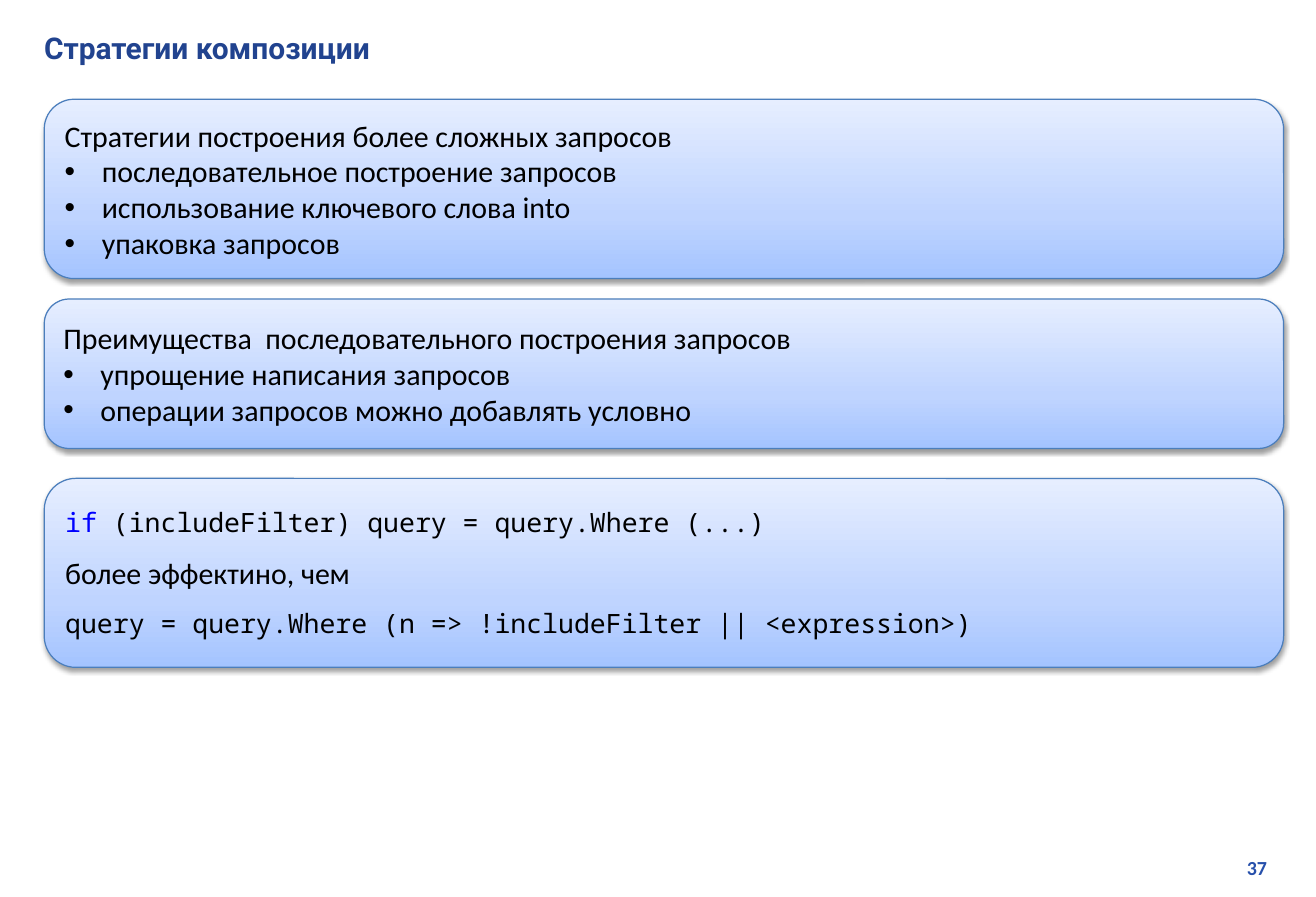
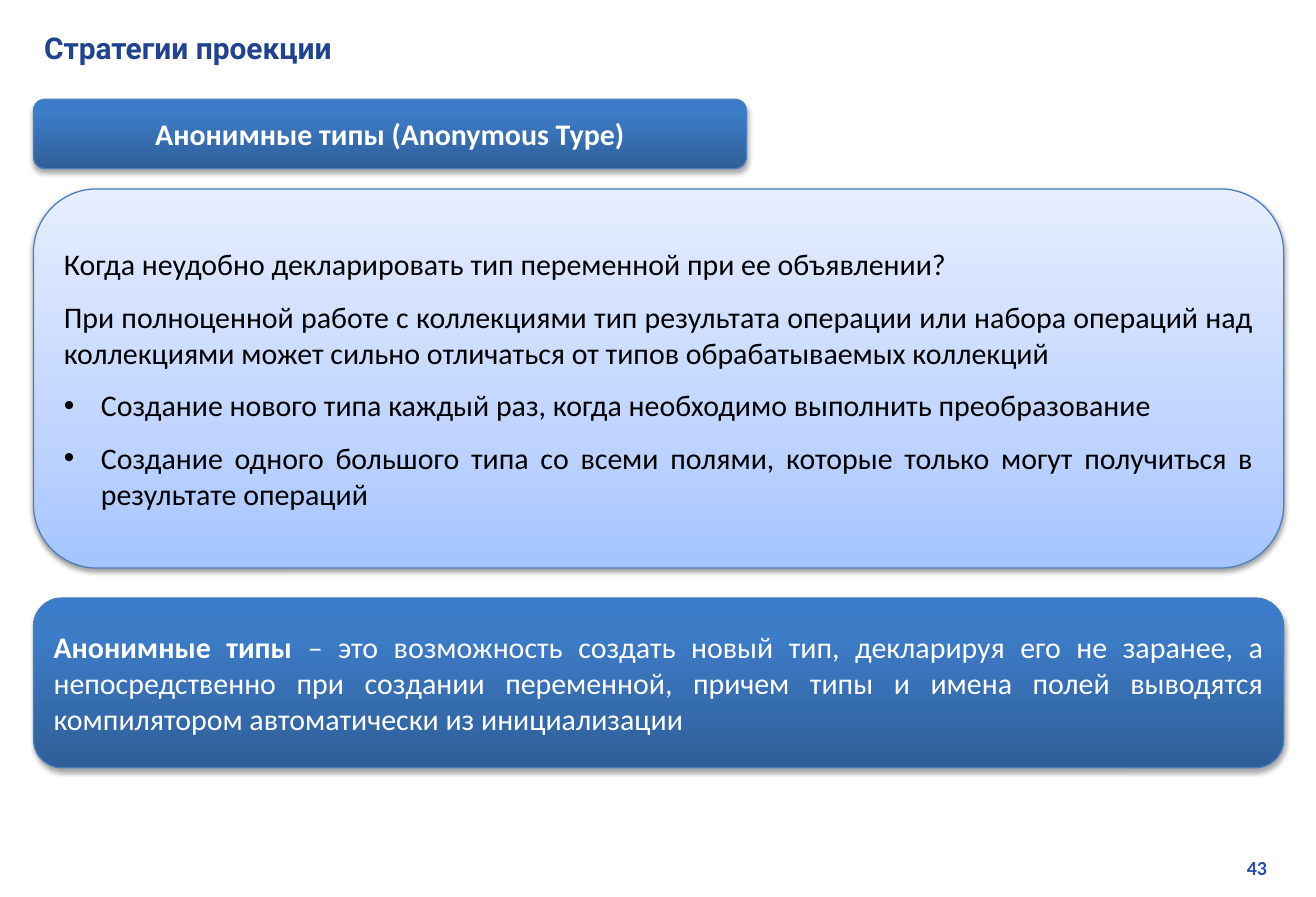
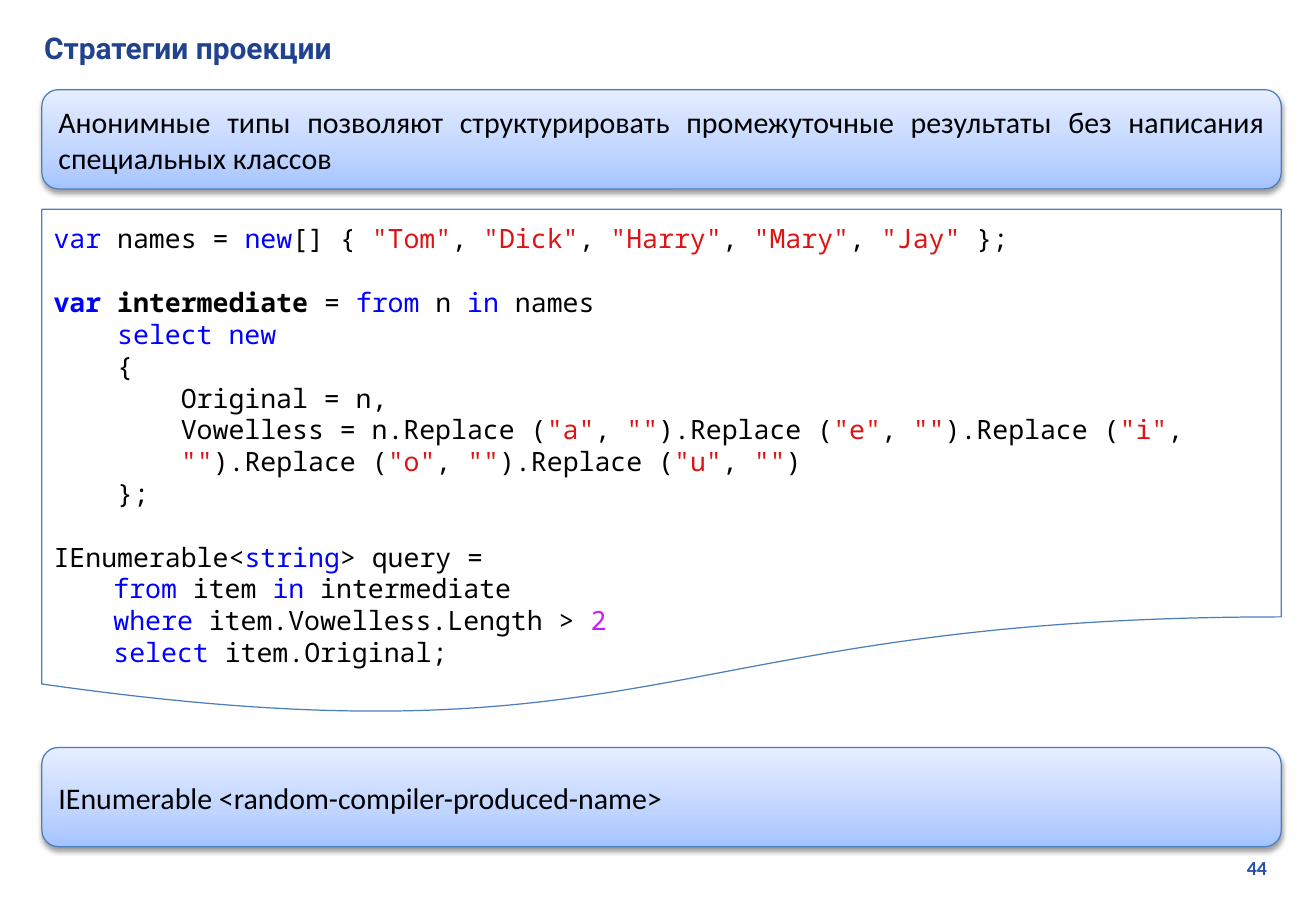
from itertools import groupby

from lxml.etree import SubElement
from pptx import Presentation
from pptx.dml.color import RGBColor
from pptx.enum.shapes import MSO_SHAPE as SHAPE
from pptx.enum.text import MSO_ANCHOR as ANCHOR, PP_ALIGN as ALIGN
from pptx.oxml.ns import qn
from pptx.util import Inches, Pt

BLACK = RGBColor(0x00, 0x00, 0x00)
WHITE = RGBColor(0xFF, 0xFF, 0xFF)
TITLE_BLUE = RGBColor(0x21, 0x43, 0x8F)
NUMBER_BLUE = RGBColor(0x27, 0x50, 0xAB)
OUTLINE = RGBColor(0x4B, 0x7E, 0xBC)
KEYWORD = RGBColor(0x00, 0x00, 0xFF)
STRING = RGBColor(0xDC, 0x14, 0x14)
NUMERAL = RGBColor(0xC8, 0x1E, 0xFA)

BODY_FONT, CODE_FONT, TITLE_FONT = "Calibri", "Noto Sans Mono", "Roboto"
BODY_SIZE, CODE_SIZE, CODE_LINE = 18, 16, 19
KEYWORDS = {"var", "new", "from", "in", "select", "where", "string", "if"}

# Gradient stops (percent, colour) from bottom to top, text colour,
# shadow opacity in percent and shadow distance in points
LIGHT = {
    "stops": [(0, "A4C4FF"), (35, "BFD4FF"), (100, "E6EEFF")],
    "text": BLACK, "opacity": 38, "distance": 1.6,
}
DARK = {
    "stops": [(0, "2F5F99"), (80, "3D7CC7"), (100, "3A7CCB")],
    "text": WHITE, "opacity": 35, "distance": 1.8,
}

SAMPLE = """var names = new[] { "Tom", "Dick", "Harry", "Mary", "Jay" };

**var intermediate** = from n in names
    select new
    {
        Original = n,
        Vowelless = n.Replace ("a", "").Replace ("e", "").Replace ("i",
        "").Replace ("o", "").Replace ("u", "")
    };

IEnumerable<string> query =
\tfrom item in intermediate
\twhere item.Vowelless.Length > 2
\tselect item.Original;"""

# Panel: (left, top, width, height), look, alignment, space after, paragraphs.
# Text between double asterisks is bold.
SLIDES = [
    {
        "title": "Стратегии композиции", "number": 37,
        "panels": [
            ((0.37, 0.83, 10.36, 1.5), LIGHT, ALIGN.LEFT, 0, [
                ("plain", "Стратегии построения более сложных запросов"),
                ("bullet", "последовательное построение запросов"),
                ("bullet", "использование ключевого слова into"),
                ("bullet", "упаковка запросов"),
            ]),
            ((0.37, 2.5, 10.36, 1.25), LIGHT, ALIGN.LEFT, 0, [
                ("plain", "Преимущества  последовательного построения запросов"),
                ("bullet", "упрощение написания запросов"),
                ("bullet", "операции запросов можно добавлять условно"),
            ]),
            ((0.37, 4, 10.36, 1.58), LIGHT, ALIGN.LEFT, 10, [
                ("code", "if (includeFilter) query = query.Where (...)"),
                ("plain", "более эффектино, чем"),
                ("code", "query = query.Where (n => !includeFilter || <expression>)"),
            ]),
        ],
    },
    {
        "title": "Стратегии проекции", "number": 43,
        "panels": [
            ((0.28, 0.83, 5.96, 0.58), DARK, ALIGN.CENTER, 10, [
                ("plain", "**Анонимные типы (Anonymous Type)**"),
            ]),
            ((0.28, 1.58, 10.45, 3.17), LIGHT, ALIGN.JUSTIFY, 10, [
                ("plain", "Когда неудобно декларировать тип переменной при ее объявлении?"),
                ("plain", "При полноценной работе с коллекциями тип результата операции "
                          "или набора операций над коллекциями может сильно отличаться "
                          "от типов обрабатываемых коллекций"),
                ("bullet", "Cоздание нового типа каждый раз, когда необходимо "
                           "выполнить преобразование"),
                ("bullet", "Создание одного большого типа со всеми полями, которые "
                           "только могут получиться в результате операций"),
            ]),
            ((0.28, 5, 10.45, 1.42), DARK, ALIGN.JUSTIFY, 10, [
                ("plain", "**Анонимные типы **– это возможность создать новый тип, "
                          "декларируя его не заранее, а непосредственно при создании "
                          "переменной, причем типы и имена полей выводятся "
                          "компилятором автоматически из инициализации"),
            ]),
        ],
    },
    {
        "title": "Стратегии проекции", "number": 44,
        "listing": ((0.35, 1.75, 10.36, 4.25), SAMPLE),
        "panels": [
            ((0.35, 0.75, 10.36, 0.83), LIGHT, ALIGN.JUSTIFY, 10, [
                ("plain", "Анонимные типы позволяют структурировать промежуточные "
                          "результаты без написания специальных классов"),
            ]),
            ((0.35, 6.25, 10.36, 0.83), LIGHT, ALIGN.LEFT, 10, [
                ("plain", "IEnumerable <random-compiler-produced-name>"),
            ]),
        ],
    },
]


def add_run(paragraph, text, font, size, color, bold=False):
    run = paragraph.add_run()
    run.text = text
    run.font.name = font
    run.font.size = Pt(size)
    run.font.bold = bold
    run.font.color.rgb = color


def bold_parts(text):
    """Yield (part, is bold) for text marked with double asterisks."""
    for index, part in enumerate(text.split("**")):
        if part:
            yield part, index % 2 == 1


def code_color(word):
    if word in KEYWORDS:
        return KEYWORD
    return NUMERAL if word.isdigit() else BLACK


def code_tokens(code):
    """Yield (token, colour): quoted strings, keywords, numbers and the rest."""
    for index, part in enumerate(code.split('"')):
        if index % 2:
            yield f'"{part}"', STRING
        else:
            for _, letters in groupby(part, str.isalnum):
                word = "".join(letters)
                yield word, code_color(word)


def write_code(paragraph, line):
    for part, bold in bold_parts(line):
        for color, tokens in groupby(code_tokens(part), lambda token: token[1]):
            text = "".join(token for token, _ in tokens)
            add_run(paragraph, text, CODE_FONT, CODE_SIZE, color, bold)


def add_bullet(paragraph):
    properties = paragraph._p.get_or_add_pPr()
    properties.set("marL", str(Inches(0.31)))
    properties.set("indent", str(-Inches(0.31)))
    SubElement(properties, qn("a:buFont"), typeface="Arial")
    SubElement(properties, qn("a:buChar"), char="•")


def next_paragraph(frame, index):
    return frame.add_paragraph() if index else frame.paragraphs[0]


def add_outlined(slide, preset, box):
    shape = slide.shapes.add_shape(preset, *map(Inches, box))
    shape.shadow.inherit = False
    shape.line.color.rgb = OUTLINE
    shape.line.width = Pt(0.75)
    shape.text_frame.word_wrap = True
    return shape


def add_look(shape, look):
    """Give the shape the gradient and the soft shadow of its look."""
    shape.fill.gradient()
    shape.fill.gradient_angle = 90
    properties = shape._element.spPr
    stops = properties.find(qn("a:gradFill")).find(qn("a:gsLst"))
    for stop in list(stops):
        stops.remove(stop)
    for percent, color in look["stops"]:
        stop = SubElement(stops, qn("a:gs"), pos=str(percent * 1000))
        SubElement(stop, qn("a:srgbClr"), val=color)
    shadow = SubElement(
        properties.find(qn("a:effectLst")), qn("a:outerShdw"),
        blurRad=str(Pt(3.1)), dist=str(Pt(look["distance"])),
        dir="5400000", rotWithShape="0")
    shade = SubElement(shadow, qn("a:srgbClr"), val="000000")
    SubElement(shade, qn("a:alpha"), val=str(look["opacity"] * 1000))


def add_panel(slide, box, look, align, space_after, paragraphs):
    panel = add_outlined(slide, SHAPE.ROUNDED_RECTANGLE, box)
    add_look(panel, look)
    frame = panel.text_frame
    frame.vertical_anchor = ANCHOR.MIDDLE
    for index, (kind, text) in enumerate(paragraphs):
        paragraph = next_paragraph(frame, index)
        paragraph.alignment = align
        paragraph.space_after = Pt(space_after)
        if kind == "bullet":
            add_bullet(paragraph)
        if kind == "code":
            write_code(paragraph, text)
            continue
        for part, bold in bold_parts(text):
            add_run(paragraph, part, BODY_FONT, BODY_SIZE, look["text"], bold)


def add_listing(slide, box, code):
    page = add_outlined(slide, SHAPE.FLOWCHART_DOCUMENT, box)
    page.fill.solid()
    page.fill.fore_color.rgb = WHITE
    frame = page.text_frame
    frame.vertical_anchor = ANCHOR.TOP
    frame.margin_top = Inches(0.11)
    for index, block in enumerate(code.split("\n\n")):
        for row, line in enumerate(block.split("\n")):
            paragraph = next_paragraph(frame, index + row)
            paragraph.alignment = ALIGN.LEFT
            if index and row == 0:
                paragraph.space_before = Pt(CODE_LINE)
            write_code(paragraph, line)


def add_label(slide, box, text, font, size, color, align):
    label = slide.shapes.add_textbox(*map(Inches, box))
    frame = label.text_frame
    frame.word_wrap = True
    frame.vertical_anchor = ANCHOR.MIDDLE
    paragraph = frame.paragraphs[0]
    paragraph.alignment = align
    add_run(paragraph, text, font, size, color, bold=True)


def main():
    deck = Presentation()
    deck.slide_width, deck.slide_height = Inches(11), Inches(7.5)
    for content in SLIDES:
        slide = deck.slides.add_slide(deck.slide_layouts[6])
        add_label(slide, (8.36, 7.1, 2.33, 0.3), str(content["number"]),
                  BODY_FONT, 12, NUMBER_BLUE, ALIGN.RIGHT)
        add_label(slide, (0.27, 0.2, 10.5, 0.4), content["title"],
                  TITLE_FONT, 18, TITLE_BLUE, ALIGN.LEFT)
        if "listing" in content:
            add_listing(slide, *content["listing"])
        for panel in content["panels"]:
            add_panel(slide, *panel)
    deck.save("out.pptx")


if __name__ == "__main__":
    main()
